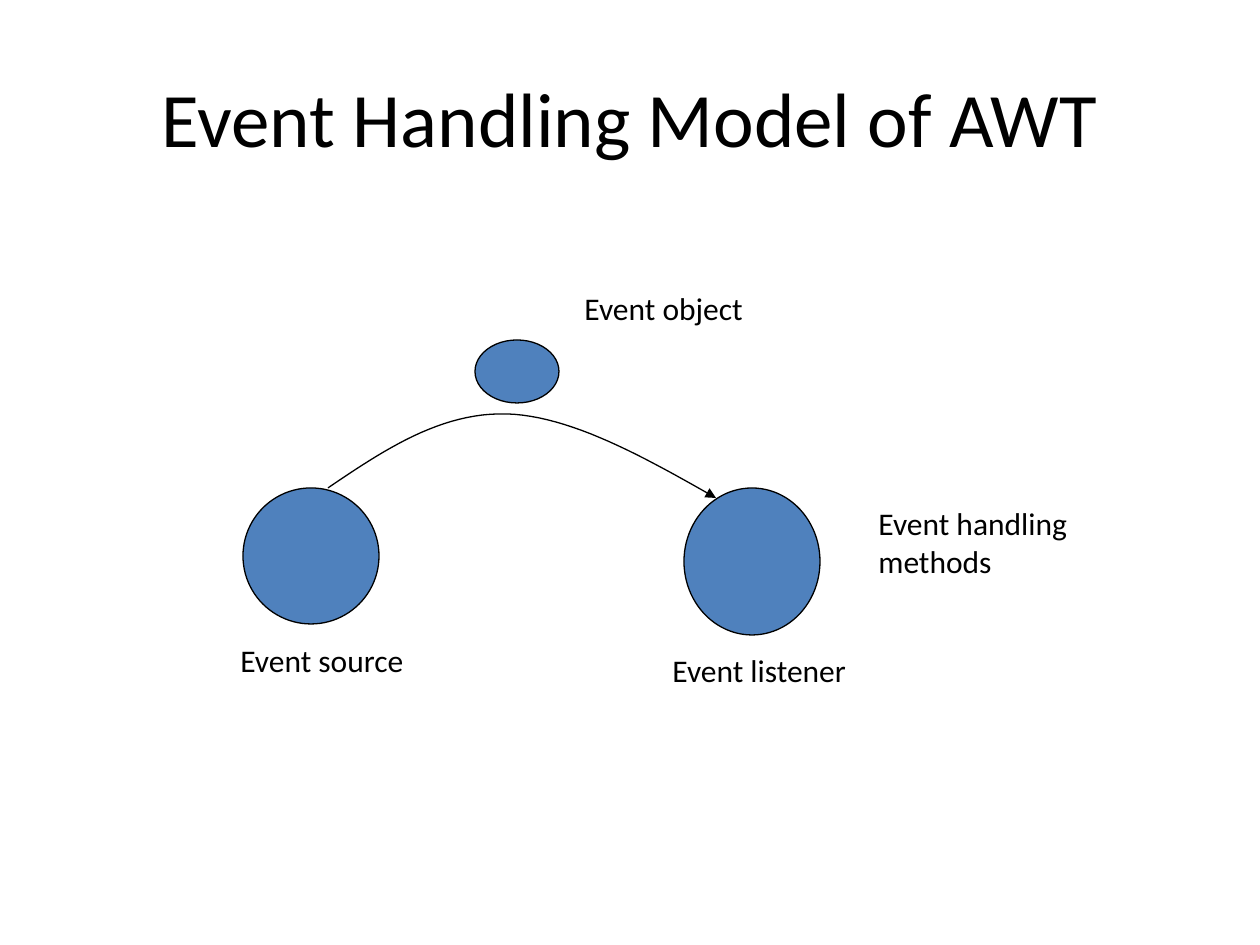
from lxml.etree import SubElement
from pptx import Presentation
from pptx.dml.color import RGBColor as RGB
from pptx.enum.shapes import MSO_SHAPE as Shape
from pptx.enum.text import MSO_ANCHOR as Anchor, MSO_AUTO_SIZE as Fit, PP_ALIGN as Align
from pptx.oxml.ns import qn
from pptx.util import Pt

PX = 914400 / 126
COLORS = {"text": "000000", "line": "000000", "node": "4F81BD"}
STEPS = 24  # segments drawn for each curve


def emu(*vals):
    return [round(v * PX) for v in vals]


def color(name):
    return RGB.from_string(COLORS[name])


def write(frame, text, size=18, align=Align.LEFT, anchor=Anchor.TOP, wrap=False, fit=Fit.NONE):
    frame.text = text
    frame.word_wrap = wrap
    frame.auto_size = fit
    frame.vertical_anchor = anchor
    for para in frame.paragraphs:
        para.alignment = align
        font = para.font
        font.name, font.size = "Calibri", Pt(size)
        font.color.rgb = color("text")


def outline(shape):
    shape.shadow.inherit = False
    shape.line.color.rgb = color("line")
    shape.line.width = Pt(0.75)


def node(slide, x, y, w, h):
    oval = slide.shapes.add_shape(Shape.OVAL, *emu(x, y, w, h))
    outline(oval)
    oval.fill.solid()
    oval.fill.fore_color.rgb = color("node")


def label(slide, text, x, y, w, h):
    box = slide.shapes.add_textbox(*emu(x, y, w, h))
    write(box.text_frame, text, fit=Fit.SHAPE_TO_FIT_TEXT)


def bezier(a, b, c, d):
    """Points along a cubic curve, after its start."""
    for i in range(1, STEPS + 1):
        t = i / STEPS
        u = 1 - t
        yield tuple(u**3 * p + 3 * u * u * t * q + 3 * u * t * t * r + t**3 * s
                    for p, q, r, s in zip(a, b, c, d))


def arrow(slide, x, y, pts):
    pts = [(x + dx, y + dy) for dx, dy in pts]
    path = [p for i in range(0, len(pts) - 1, 3) for p in bezier(*pts[i:i + 4])]
    form = slide.shapes.build_freeform(*emu(*pts[0]), scale=1.0)
    form.add_line_segments([emu(*p) for p in path], close=False)
    curve = form.convert_to_shape()
    outline(curve)
    curve.fill.background()
    line = curve.element.spPr.find(qn("a:ln"))
    SubElement(line, qn("a:tailEnd"), type="triangle")


def heading(slide, x, y, w, h):
    title = slide.shapes.title
    title.left, title.top, title.width, title.height = emu(x, y, w, h)
    write(title.text_frame, "Event Handling Model of AWT", size=44,
          align=Align.CENTER, anchor=Anchor.MIDDLE, wrap=True)


def diagram(slide, x, y):
    # Source and listener
    node(slide, x + 15, y + 205, 136, 136)
    node(slide, x + 456, y + 205, 136, 147)
    label(slide, "Event source", x, y + 352, 190, 50)
    label(slide, "Event listener", x + 432, y + 362, 200, 50)
    # Path of the event
    arrow(slide, x, y, [(100, 205), (156, 167), (213, 129), (279, 131),
                        (343, 133), (416, 174), (488, 215)])
    # Event object
    node(slide, x + 247, y + 57, 84, 63)
    label(slide, "Event object", x + 344, y, 185, 50)
    # Handlers
    label(slide, "Event handling\nmethods", x + 638, y + 215, 222, 88)


def main():
    deck = Presentation()
    deck.slide_width, deck.slide_height = emu(1260, 945)
    slide = deck.slides.add_slide(deck.slide_layouts[5])
    heading(slide, 63, 38, 1134, 157)
    diagram(slide, 228, 283)
    deck.save("out.pptx")


if __name__ == "__main__":
    main()
